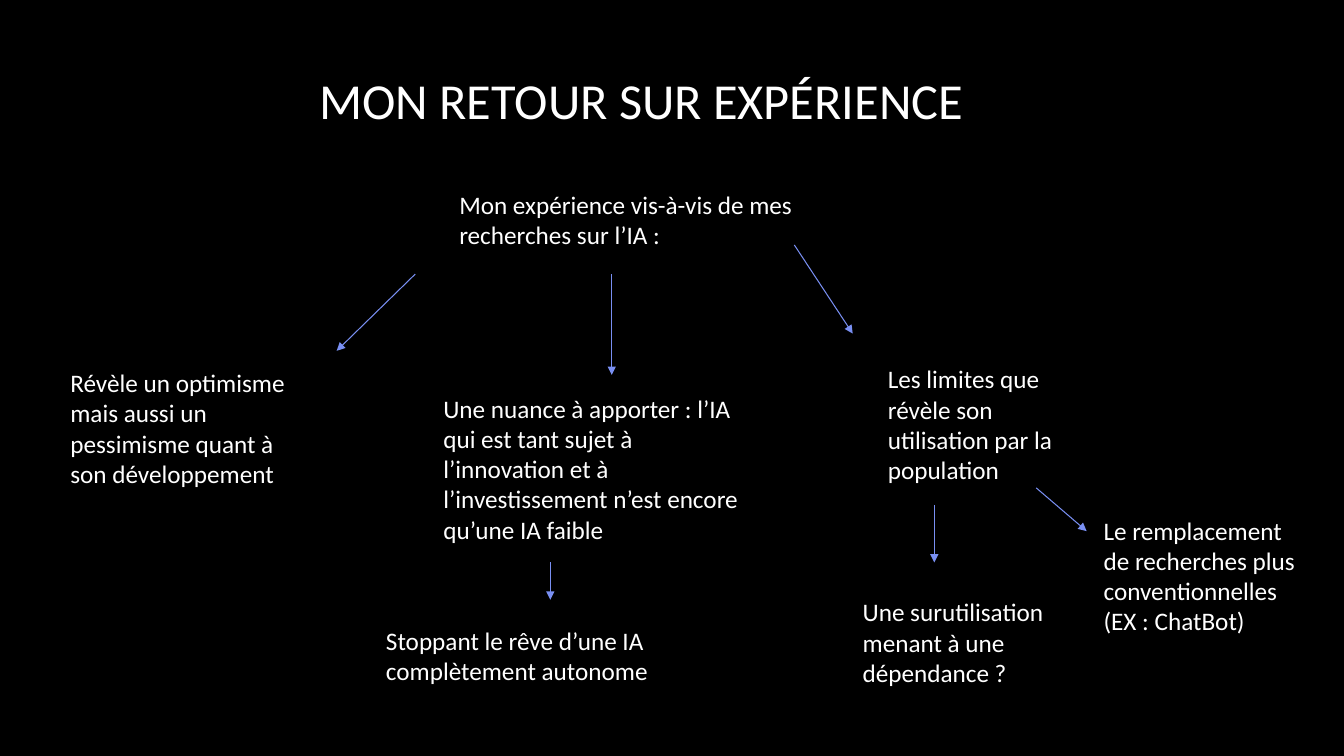
"""Build the slide that maps feedback on AI research as a tree of ideas."""
from dataclasses import dataclass
from lxml.etree import SubElement as add_node
from pptx import Presentation
from pptx.dml.color import RGBColor as Rgb
from pptx.enum.shapes import MSO_CONNECTOR as Link
from pptx.enum.text import MSO_ANCHOR as Anchor, PP_ALIGN as Align
from pptx.oxml.ns import qn
from pptx.util import Pt

TITLE = ("MON RETOUR SUR EXPÉRIENCE", (221, 13.7, 475, 114.5))

ROOTS = [
    ("Mon expérience vis-à-vis de mes recherches sur l’IA :",
     (321, 105.8, 259.2, 101.5)),
    ("Révèle un optimisme mais aussi un pessimisme quant à son développement",
     (43.2, 259.2, 177.1, 92.9)),
]

IDEAS = [
    ("Les limites que révèle son utilisation par la population",
     (627.1, 256.3, 154.1, 94.3)),
    ("Une nuance à apporter : l’IA qui est tant sujet à l’innovation "
     "et à l’investissement n’est encore qu’une IA faible",
     (309.6, 277.2, 235.4, 116.6)),
    ("Une surutilisation menant à une dépendance ?",
     (609.1, 422.6, 166.3, 72.7)),
    ("Le remplacement de recherches plus conventionnelles (EX : ChatBot)",
     (781.2, 364.3, 159.8, 94.3)),
    ("Stoppant le rêve d’une IA complètement autonome",
     (268.6, 442.8, 229.7, 51.1)),
]

ARROWS = [
    (296.6, 195.8, 240.5, 250.6),
    (437, 195.8, 437, 267.8),
    (567.4, 175, 609.1, 238.3),
    (667.4, 360.7, 667.4, 401.8),
    (740.2, 348.5, 776.2, 379.4),
    (393.1, 401.8, 393.1, 428.4),
]


@dataclass(frozen=True)
class Theme:
    """Colours, font and sizes."""
    back: Rgb = Rgb(0, 0, 0)
    ink: Rgb = Rgb(255, 255, 255)
    line: Rgb = Rgb(0x79, 0x8F, 0xF2)
    font: str = "Calibri"
    head: float = 36
    body: float = 18
    rule: float = 0.75


THEME = Theme()


def put_text(slide, text, box, size, anchor, after=0):
    """Place one wrapped, left-aligned text."""
    frame = slide.shapes.add_textbox(*map(Pt, box)).text_frame
    frame.word_wrap = True
    frame.vertical_anchor = anchor
    frame.text = text
    para = frame.paragraphs[0]
    para.alignment = Align.LEFT
    para.space_after = Pt(after)
    font = para.runs[0].font
    font.name, font.size = THEME.font, Pt(size)
    font.color.rgb = THEME.ink


def put_arrow(slide, ends):
    """Draw one arrow with a triangle at its end."""
    arrow = slide.shapes.add_connector(Link.STRAIGHT, *map(Pt, ends))
    arrow.line.color.rgb = THEME.line
    arrow.line.width = Pt(THEME.rule)
    add_node(arrow.line._get_or_add_ln(), qn("a:tailEnd"), type="triangle")
    add_node(arrow._element.spPr, qn("a:effectLst"))


def main():
    """Build and save the slide."""
    deck = Presentation()
    deck.slide_width, deck.slide_height = Pt(960), Pt(540)
    slide = deck.slides.add_slide(deck.slide_layouts[6])
    fill = slide.background.fill
    fill.solid()
    fill.fore_color.rgb = THEME.back
    put_text(slide, *TITLE, THEME.head, Anchor.MIDDLE)
    for text, box in ROOTS:
        put_text(slide, text, box, THEME.body, Anchor.MIDDLE, 10)
    for text, box in IDEAS:
        put_text(slide, text, box, THEME.body, Anchor.TOP)
    for ends in ARROWS:
        put_arrow(slide, ends)
    deck.save("out.pptx")


if __name__ == "__main__":
    main()
